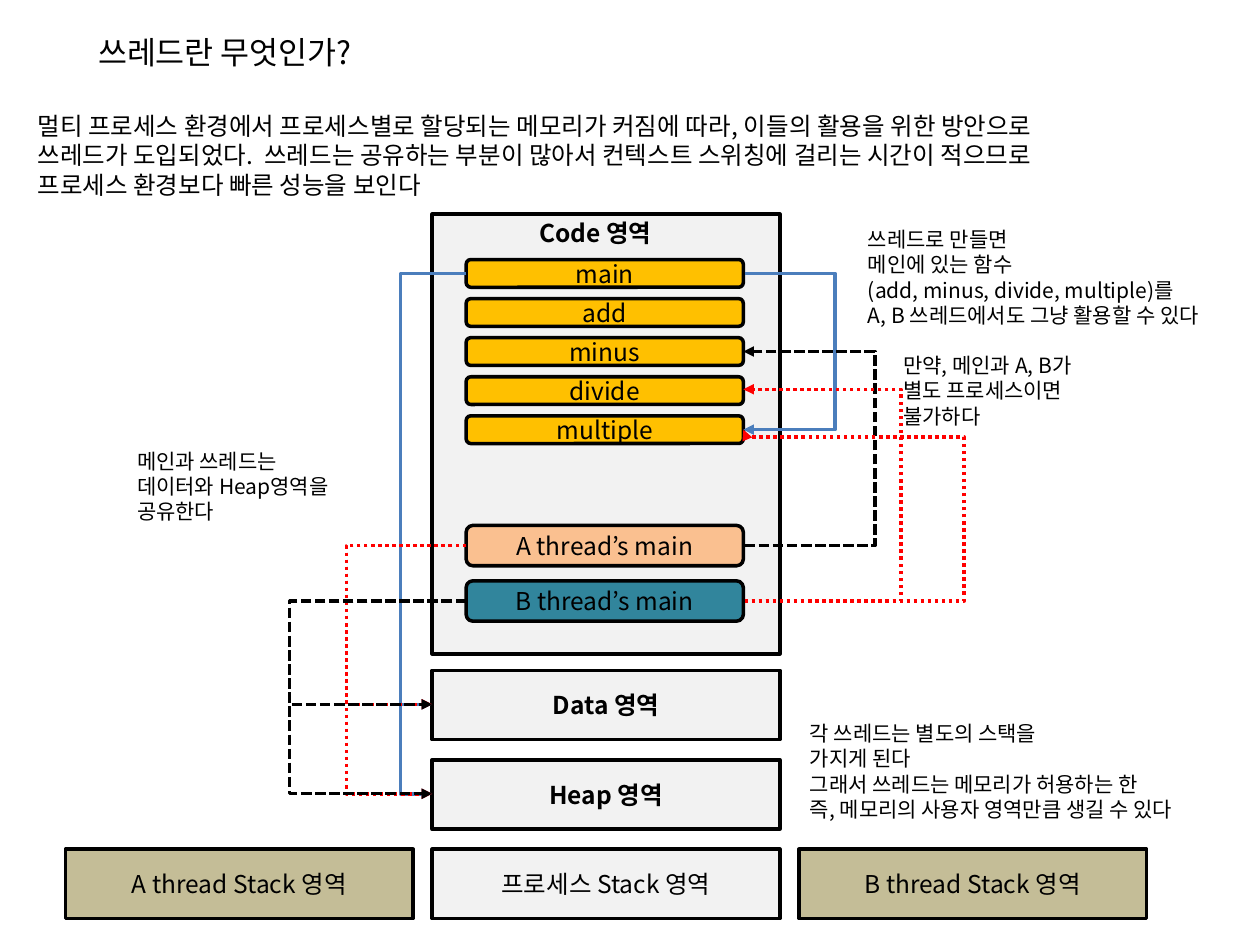
from collections import namedtuple

from lxml.etree import SubElement
from pptx import Presentation
from pptx.dml.color import RGBColor
from pptx.enum.dml import MSO_LINE
from pptx.enum.shapes import MSO_CONNECTOR, MSO_SHAPE
from pptx.enum.text import MSO_ANCHOR, MSO_AUTO_SIZE, PP_ALIGN
from pptx.oxml.ns import qn
from pptx.util import Inches, Pt

FONT = "Noto Sans CJK KR"
BLACK, RED, BLUE = "000000", "FF0000", "4B7EBC"
GRAY, TAN, GOLD, PEACH, TEAL = "F2F2F2", "C4BD97", "FFC000", "FAC090", "31859C"
DASH, DOT = MSO_LINE.SQUARE_DOT, MSO_LINE.ROUND_DOT

Box = namedtuple("Box", "left top width height")


def color(value):
    return RGBColor.from_string(value)


def lengths(box):
    return [Inches(value) for value in box]


def write(para, text, **values):
    span = para.add_run()
    span.text = text
    for name, value in {"name": FONT, **values}.items():
        setattr(span.font, name, value)
    span.font.color.rgb = color(BLACK)
    SubElement(span.font._element, qn("a:ea"), typeface=FONT)


def add_text(page, box, lines, size, wrap=False, bold=None):
    frame = page.shapes.add_textbox(*lengths(box)).text_frame
    frame.word_wrap = wrap
    frame.auto_size = MSO_AUTO_SIZE.SHAPE_TO_FIT_TEXT
    for index, line in enumerate(lines):
        para = frame.add_paragraph() if index else frame.paragraphs[0]
        write(para, line, size=Pt(size), bold=bold)
    return frame


def add_block(page, box, fill, text="", kind=MSO_SHAPE.RECTANGLE, bold=None):
    block = page.shapes.add_shape(kind, *lengths(box))
    block.shadow.inherit = False
    block.fill.solid()
    block.fill.fore_color.rgb = color(fill)
    block.line.color.rgb = color(BLACK)
    block.line.width = Pt(2)
    if text:
        block.text_frame.vertical_anchor = MSO_ANCHOR.MIDDLE
        para = block.text_frame.paragraphs[0]
        para.alignment = PP_ALIGN.CENTER
        write(para, text, size=Pt(14), bold=bold)


def add_elbow(page, start, end, turn_x, stroke, dash=None, turn_y=None):
    """Arrow that leaves sideways to turn_x; turn_y adds a second bend."""
    link = page.shapes.add_connector(
        MSO_CONNECTOR.ELBOW, *lengths(start), *lengths(end))
    link.line.color.rgb = color(stroke)
    link.line.width = Pt(2)
    if dash:
        link.line.dash_style = dash
    properties = link._element.spPr
    SubElement(link.line._ln, qn("a:tailEnd"), type="triangle")
    SubElement(properties, qn("a:effectLst"))

    bends = [(turn_x - start[0]) / (end[0] - start[0])]
    if turn_y is not None:
        bends.append((turn_y - start[1]) / (end[1] - start[1]))
    geometry = properties.find(qn("a:prstGeom"))
    geometry.set("prst", f"bentConnector{len(bends) + 2}")
    guides = geometry.find(qn("a:avLst"))
    if guides is None:
        guides = SubElement(geometry, qn("a:avLst"))
    for number, bend in enumerate(bends, 1):
        SubElement(guides, qn("a:gd"), name=f"adj{number}",
                   fmla=f"val {round(bend * 100000)}")


def add_heading(page, box):
    add_text(page, Box(box.left + 0.48, box.top, 2.43, 0.4),
             ["쓰레드란 무엇인가?"], 18)
    add_text(page, Box(box.left, box.top + 0.62, box.width, 0.81), [
        "멀티 프로세스 환경에서 프로세스별로 할당되는 메모리가 커짐에 따라, 이들의 활용을 위한 방안으로",
        "쓰레드가 도입되었다.  쓰레드는 공유하는 부분이 많아서 컨텍스트 스위칭에 걸리는 시간이 적으므로",
        "프로세스 환경보다 빠른 성능을 보인다",
    ], 14)


def add_code_area(page, box):
    add_block(page, box, GRAY)
    add_text(page, Box(box.left + 0.75, box.top - 0.02, 1.42, 0.34),
             ["Code 영역"], 14, wrap=True, bold=True)
    rounded = MSO_SHAPE.ROUNDED_RECTANGLE
    left = box.left + 0.27
    for row, name in enumerate(["main", "add", "minus", "divide", "multiple"]):
        add_block(page, Box(left, box.top + 0.36 + 0.31 * row, 2.2, 0.22),
                  GOLD, name, rounded)
    for row, (name, fill) in enumerate([("A", PEACH), ("B", TEAL)]):
        add_block(page, Box(left, box.top + 2.47 + 0.44 * row, 2.2, 0.32),
                  fill, f"{name} thread’s main", rounded)


def add_memory_areas(page, box):
    """Data and Heap above a row of three stacks."""
    row_step, column_step = 0.71, 2.91
    for row, name in enumerate(["Data 영역", "Heap 영역"]):
        add_block(page, box._replace(top=box.top + row_step * row),
                  GRAY, name, bold=True)
    stacks = [("A thread Stack 영역", TAN), ("프로세스 Stack 영역", GRAY),
              ("B thread Stack 영역", TAN)]
    for column, (name, fill) in enumerate(stacks, -1):
        add_block(page, box._replace(left=box.left + column_step * column,
                                     top=box.top + row_step * 2), fill, name)


def add_call_arrows(page, box):
    """Calls between functions, at the right of the code area."""
    start_x, end_x = box.left + 2.48, box.left + 2.47
    main, minus, divide, multiple, a_main, b_main = (
        box.top + y for y in (0.47, 1.09, 1.39, 1.71, 2.63, 3.07))
    for start, end, turn, stroke, dash, turn_y in [
        (main, multiple, 6.64, BLUE, None, None),
        (a_main, minus, 6.96, BLACK, DASH, None),
        (b_main, divide, 7.17, RED, DOT, None),
        (b_main, multiple, 7.68, RED, DOT, multiple + 0.06),
    ]:
        add_elbow(page, (start_x, start), (end_x, end), turn, stroke, dash, turn_y)


def add_sharing_arrows(page, box):
    """Each main reaches Data and Heap, at the left of the code area."""
    for start, turn, stroke, dash in [(0.47, 3.18, BLUE, None),
                                      (2.63, 2.75, RED, DOT),
                                      (3.07, 2.3, BLACK, DASH)]:
        for end in (3.89, 4.6):
            add_elbow(page, (box.left + 0.27, box.top + start),
                      (box.left, box.top + end), turn, stroke, dash)


def add_function_note(page, box):
    frame = add_text(page, box, [
        "쓰레드로 만들면",
        "메인에 있는 함수",
        "(add, minus, divide, multiple)를",
        "A, B 쓰레드에서도 그냥 활용할 수 있다",
        "만약, 메인과 A, B가",
        "별도 프로세스이면",
        "불가하다",
    ], 12)
    # The second remark is indented and set apart
    remark = frame.paragraphs[4:]
    remark[0].space_before = Pt(14.4)
    for para in remark:
        para._p.get_or_add_pPr().set("marL", str(Inches(0.28)))


def add_sharing_notes(page, heap_box, stack_box):
    add_text(page, heap_box,
             ["메인과 쓰레드는", "데이터와 Heap영역을", "공유한다"], 12)
    add_text(page, stack_box, [
        "각 쓰레드는 별도의 스택을",
        "가지게 된다",
        "그래서 쓰레드는 메모리가 허용하는 한",
        "즉, 메모리의 사용자 영역만큼 생길 수 있다",
    ], 12)


def main():
    deck = Presentation()
    deck.slide_width, deck.slide_height = Inches(10), Inches(7.5)
    page = deck.slides.add_slide(deck.slide_layouts[6])
    code_box = Box(3.43, 1.7, 2.76, 3.49)
    add_heading(page, Box(0.2, 0.21, 9.12, 1.43))
    add_code_area(page, code_box)
    add_memory_areas(page, Box(3.43, 5.32, 2.76, 0.55))
    add_call_arrows(page, code_box)
    add_function_note(page, Box(6.79, 1.75, 3.17, 1.72))
    add_sharing_arrows(page, code_box)
    add_sharing_notes(page, Box(0.99, 3.51, 1.84, 0.71),
                      Box(6.33, 5.67, 3.46, 0.91))
    deck.save("out.pptx")


if __name__ == "__main__":
    main()
